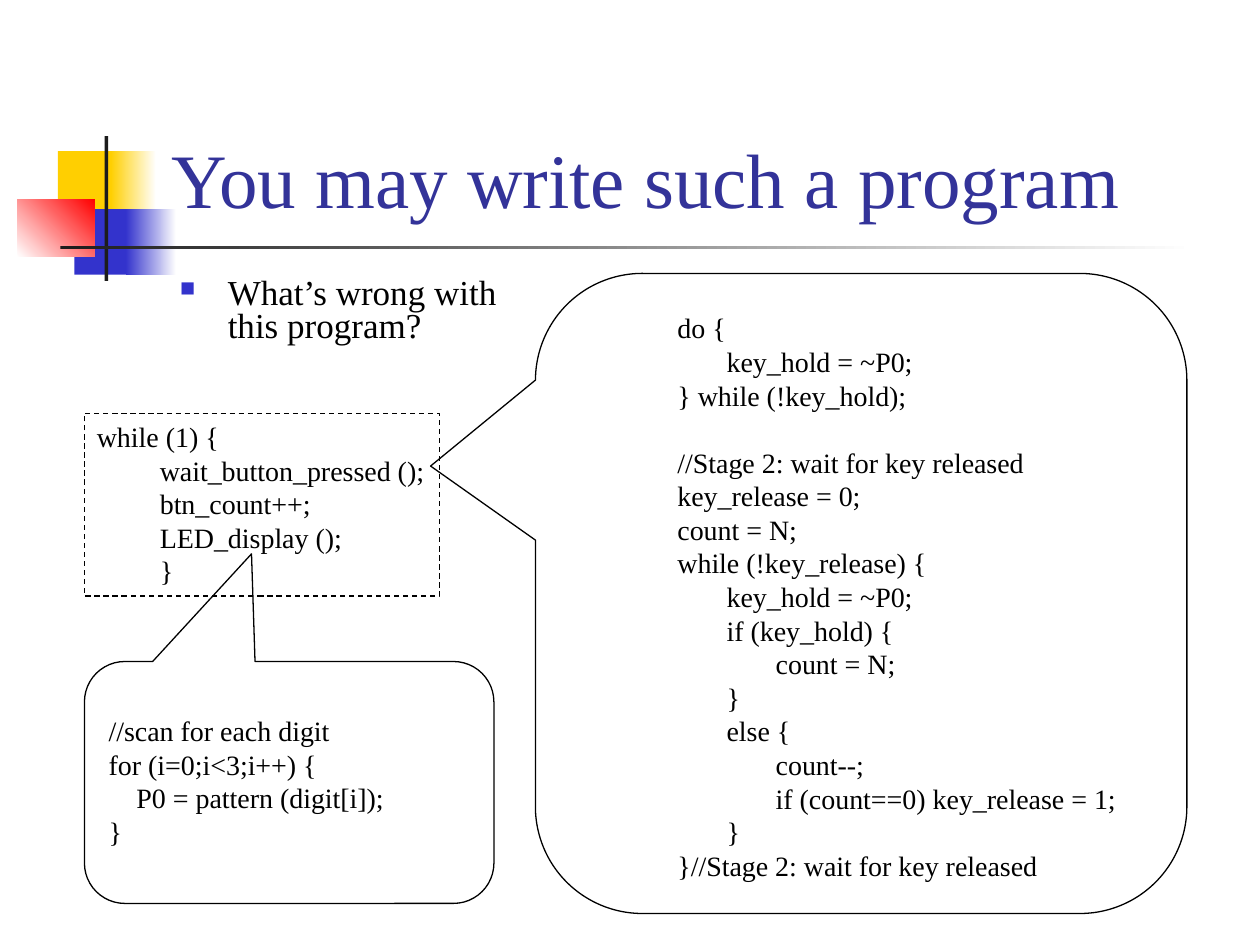
"""Build a slide that shows a button-counting program with two code callouts."""
from lxml import etree
from pptx import Presentation
from pptx.dml.color import RGBColor
from pptx.enum.dml import MSO_LINE
from pptx.enum.shapes import MSO_SHAPE
from pptx.enum.text import MSO_ANCHOR, PP_ALIGN
from pptx.oxml.ns import qn
from pptx.util import Inches, Pt

RECTANGLE = MSO_SHAPE.RECTANGLE
CALLOUT = MSO_SHAPE.ROUNDED_RECTANGULAR_CALLOUT
DASH = MSO_LINE.DASH
TOP, BOTTOM = MSO_ANCHOR.TOP, MSO_ANCHOR.BOTTOM
LEFT = PP_ALIGN.LEFT

FONT = "Times New Roman"
WHITE, BLACK, DARK = "FFFFFF", "000000", "1C1C1C"
YELLOW, BLUE, RED, TITLE_BLUE = "FFCF01", "3333CC", "FF0000", "333399"
CODE_PITCH = 19.2

DECORATION = [
    ((0.46, 1.2, 0.48, 0.52), [YELLOW], 0),
    ((0.88, 1.2, 0.36, 0.52), [YELLOW, WHITE], 0),
    ((0.59, 1.66, 0.46, 0.52), [BLUE], 0),
    ((1, 1.66, 0.4, 0.52), [BLUE, WHITE], 0),
    ((0.14, 1.58, 0.61, 0.46), [WHITE, RED], 45),
    ((0.83, 1.08, 0.03, 1.15), [DARK], 0),
    ((0.48, 1.95, 9, 0.03), [DARK, WHITE], 0),
]

TITLE = "You may write such a program"
QUESTION = "What’s wrong with this program?"

WAIT_CODE = [
    (0, "do {"),
    (1, "key_hold = ~P0;"),
    (0, "} while (!key_hold);"),
    (0, "//Stage 2: wait for key released"),
    (0, "key_release = 0;"),
    (0, "count = N;"),
    (0, "while (!key_release) {"),
    (1, "key_hold = ~P0;"),
    (1, "if (key_hold) {"),
    (2, "count = N;"),
    (1, "}"),
    (1, "else {"),
    (2, "count--;"),
    (2, "if (count==0) key_release = 1;"),
    (1, "}"),
    (0, "}//Stage 2: wait for key released"),
]
DISPLAY_CODE = [
    (0, "//scan for each digit"),
    (0, "for (i=0;i<3;i++) {"),
    (1, "P0 = pattern (digit[i]);"),
    (0, "}"),
]
MAIN_CODE = [
    (0, "while (1) {"),
    (1, "wait_button_pressed ();"),
    (1, "btn_count++;"),
    (1, "LED_display ();"),
    (1, "}"),
]

CODE_BOXES = [
    {"box": (4.25, 2.17, 5.17, 5.08), "kind": CALLOUT, "lines": WAIT_CODE,
     "adjust": (-0.661, -0.199, 0.167), "start": 0.78, "step": 0.39, "gap_before": 3},
    {"box": (0.67, 5.25, 3.25, 1.92), "kind": CALLOUT, "lines": DISPLAY_CODE,
     "adjust": (-0.092, -0.945, 0.167), "step": 0.22, "margins": {"margin_top": 0.32}},
    {"box": (0.67, 3.28, 2.82, 1.45), "kind": RECTANGLE, "lines": MAIN_CODE,
     "step": 0.5, "dash": DASH, "margins": {"margin_right": 0}},
]


def color(value):
    return RGBColor.from_string(value)


def add_shape(slide, kind, box):
    shape = slide.shapes.add_shape(kind, *map(Inches, box))
    shape.shadow.inherit = False
    return shape


def add_decoration(slide, box, colors, angle):
    shape = add_shape(slide, RECTANGLE, box)
    shape.line.fill.background()
    if len(colors) == 1:
        shape.fill.solid()
        shape.fill.fore_color.rgb = color(colors[0])
        return
    shape.fill.gradient()
    shape.fill.gradient_angle = angle
    for position, (stop, value) in enumerate(zip(shape.fill.gradient_stops, colors)):
        stop.position = position
        stop.color.rgb = color(value)


def write(paragraph, text, size, value, pitch=None):
    paragraph.alignment = LEFT
    if pitch:
        paragraph.line_spacing = Pt(pitch)
    run = paragraph.add_run()
    run.text = text
    run.font.color.rgb = color(value)
    for name, setting in {"name": FONT, "size": Pt(size)}.items():
        setattr(run.font, name, setting)


def add_text(slide, box, anchor, *content):
    frame = slide.shapes.add_textbox(*map(Inches, box)).text_frame
    for name, setting in {"word_wrap": True, "vertical_anchor": anchor}.items():
        setattr(frame, name, setting)
    paragraph = frame.paragraphs[0]
    write(paragraph, *content)
    return paragraph


def add_bullet(paragraph, indent):
    properties = paragraph._p.get_or_add_pPr()
    properties.set("marL", str(Inches(indent)))
    properties.set("indent", str(-Inches(indent)))
    bullet_color = etree.SubElement(properties, qn("a:buClr"))
    etree.SubElement(bullet_color, qn("a:srgbClr"), val=BLUE)
    etree.SubElement(properties, qn("a:buSzPct"), val="60000")
    etree.SubElement(properties, qn("a:buChar"), char="■")


def add_code_box(slide, box, kind, lines, step, adjust=(), start=0,
                 gap_before=None, dash=None, margins=None):
    shape = add_shape(slide, kind, box)
    for index, value in enumerate(adjust):
        shape.adjustments[index] = value
    shape.fill.background()
    shape.line.color.rgb = color(BLACK)
    shape.line.width = Pt(0.75)
    if dash:
        shape.line.dash_style = dash
    frame = shape.text_frame
    frame.word_wrap = True
    frame.vertical_anchor = TOP
    for name, value in (margins or {}).items():
        setattr(frame, name, Inches(value))
    for index, (level, text) in enumerate(lines):
        paragraph = frame.add_paragraph() if index else frame.paragraphs[0]
        write(paragraph, text, 16, BLACK, CODE_PITCH)
        paragraph._p.get_or_add_pPr().set("marL", str(Inches(start + level * step)))
        if index == gap_before:
            paragraph.space_before = Pt(CODE_PITCH)


def main():
    presentation = Presentation()
    presentation.slide_width = Inches(10)
    presentation.slide_height = Inches(7.5)
    slide = presentation.slides.add_slide(presentation.slide_layouts[6])
    for decoration in DECORATION:
        add_decoration(slide, *decoration)
    add_text(slide, (1.26, 0.23, 8.52, 1.6), BOTTOM, TITLE, 44, TITLE_BLUE)
    question = add_text(slide, (1.33, 2.17, 2.83, 0.92), TOP, QUESTION, 20, BLACK, 18.9)
    add_bullet(question, 0.38)
    for code_box in CODE_BOXES:
        add_code_box(slide, **code_box)
    presentation.save("out.pptx")


if __name__ == "__main__":
    main()
